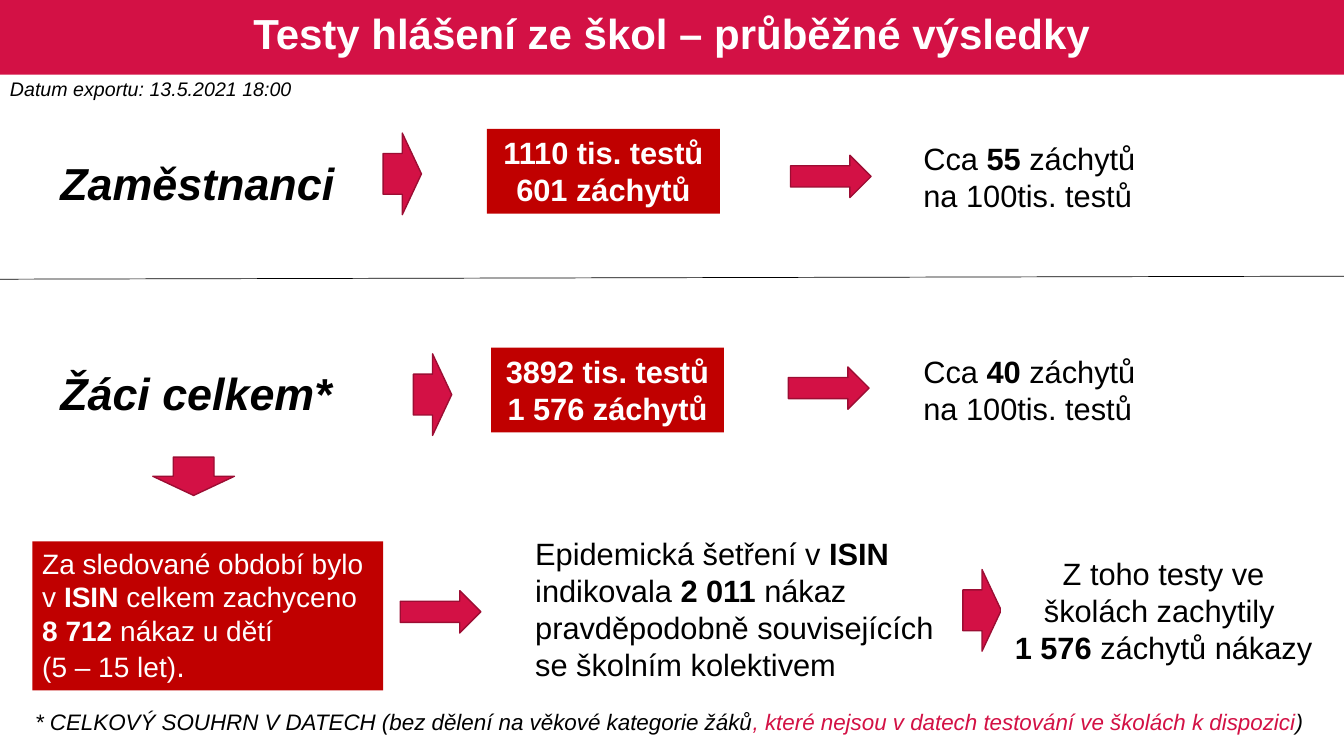
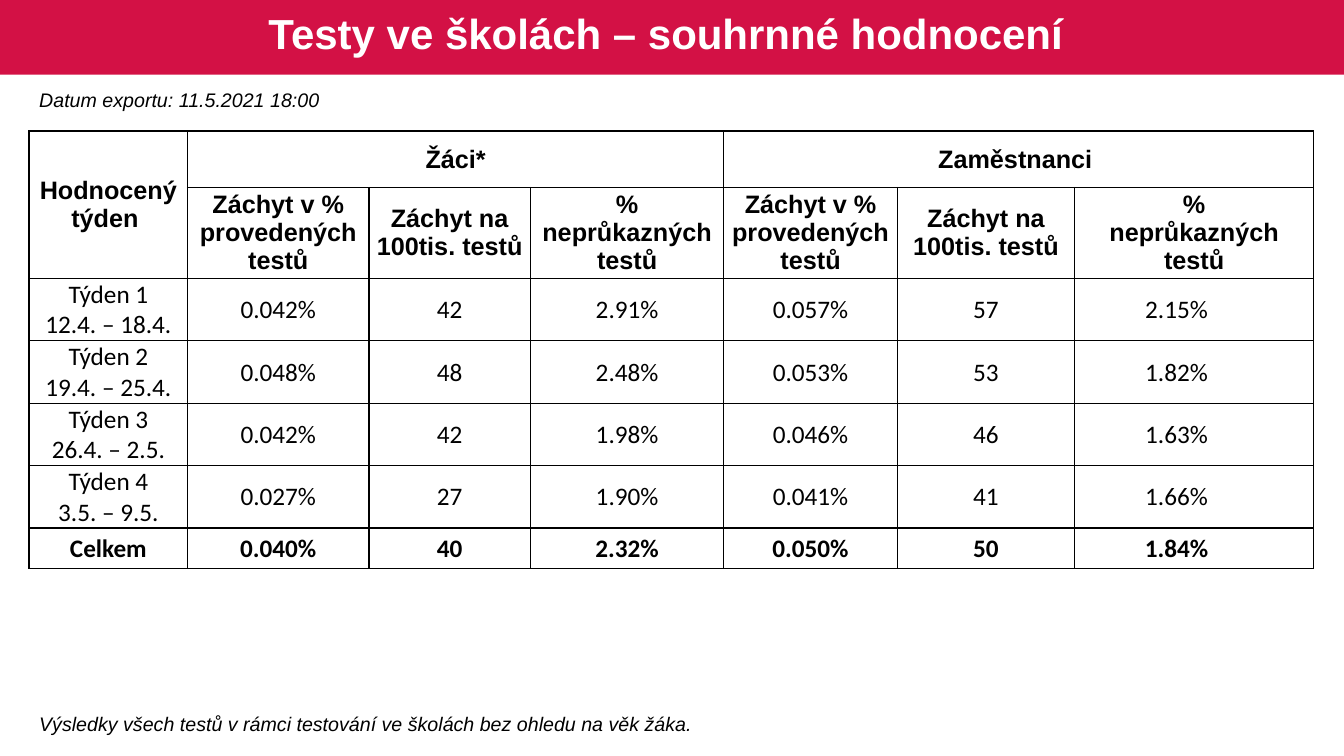
from lxml import etree
from pptx import Presentation
from pptx.dml.color import RGBColor
from pptx.enum.shapes import MSO_CONNECTOR, MSO_SHAPE
from pptx.enum.text import MSO_ANCHOR, MSO_AUTO_SIZE, PP_ALIGN
from pptx.oxml.ns import qn
from pptx.util import Inches, Pt

RECTANGLE, RIGHT_ARROW = MSO_SHAPE.RECTANGLE, MSO_SHAPE.RIGHT_ARROW
STRAIGHT = MSO_CONNECTOR.STRAIGHT
MIDDLE = MSO_ANCHOR.MIDDLE
NO_FIT, GROW = MSO_AUTO_SIZE.NONE, MSO_AUTO_SIZE.SHAPE_TO_FIT_TEXT
LEFT, CENTER = PP_ALIGN.LEFT, PP_ALIGN.CENTER
TITLE_ONLY = 5

COLORS = {
    "brand": "D31145",
    "brand_dark": "9C0D33",
    "red": "C00000",
    "black": "000000",
    "white": "FFFFFF",
}
WIDTH, HEIGHT = 13.33, 7.5


def color(name):
    return RGBColor.from_string(COLORS[name])


def bold(text):
    return text, {"bold": True}


class Deck:
    """Shared style and the slide being built."""

    def __init__(self):
        self.presentation = Presentation()
        self.presentation.slide_width = Inches(WIDTH)
        self.presentation.slide_height = Inches(HEIGHT)
        self.slide = None

    def add_slide(self, title):
        layout = self.presentation.slide_layouts[TITLE_ONLY]
        self.slide = self.presentation.slides.add_slide(layout)
        # Title band, placed behind the title
        band = self.shape(RECTANGLE, 0, 0, WIDTH, 0.74, "brand")
        self.slide.shapes._spTree.insert(2, band._element)
        # Title
        placeholder = self.slide.shapes.title
        self.place(placeholder, 0.18, 0.04, 12.97, 0.63)
        frame = placeholder.text_frame
        frame.text = title
        frame.auto_size = NO_FIT
        frame.vertical_anchor = MIDDLE
        paragraph = frame.paragraphs[0]
        paragraph.alignment = CENTER
        paragraph.line_spacing = 0.9
        self.style_run(paragraph.runs[0], size=30, ink="white", bold=True)

    @staticmethod
    def place(shape, left, top, width, height):
        shape.left, shape.top = Inches(left), Inches(top)
        shape.width, shape.height = Inches(width), Inches(height)

    @staticmethod
    def style_run(run, size=22, ink="black", bold=False, italic=False, font="Arial"):
        run.font.name = font
        run.font.size = Pt(size)
        run.font.bold = bold
        run.font.italic = italic
        run.font.color.rgb = color(ink)

    def shape(self, kind, left, top, width, height, fill, line=None):
        shape = self.slide.shapes.add_shape(
            kind, Inches(left), Inches(top), Inches(width), Inches(height))
        shape.shadow.inherit = False
        shape.fill.solid()
        shape.fill.fore_color.rgb = color(fill)
        if line:
            shape.line.color.rgb = color(line)
            shape.line.width = Pt(1)
        else:
            shape.line.fill.background()
        return shape

    def arrow(self, left, top, width, height, rotation=0):
        shape = self.shape(RIGHT_ARROW, left, top, width, height, "brand", "brand_dark")
        shape.rotation = rotation

    def long_arrow(self, left, top):
        self.arrow(left, top, 0.8, 0.42)

    def short_arrow(self, left, top, rotation=0):
        self.arrow(left, top, 0.38, 0.81, rotation)

    def text(self, left, top, width, height, paragraphs, fill=None,
             align=LEFT, wrap=True, **style):
        """Each paragraph is a list of strings, (string, style) pairs and breaks."""
        box = self.slide.shapes.add_textbox(
            Inches(left), Inches(top), Inches(width), Inches(height))
        if fill:
            box.fill.solid()
            box.fill.fore_color.rgb = color(fill)
        frame = box.text_frame
        frame.word_wrap = wrap
        frame.auto_size = GROW
        for index, pieces in enumerate(paragraphs):
            paragraph = frame.add_paragraph() if index else frame.paragraphs[0]
            paragraph.alignment = align
            for piece in pieces:
                if piece == "\n":
                    paragraph.add_line_break()
                    continue
                content, changes = (piece, {}) if isinstance(piece, str) else piece
                run = paragraph.add_run()
                run.text = content
                self.style_run(run, **{**style, **changes})

    def note(self, left, top, width, content, wrap=True):
        self.text(left, top, width, 0.34, [[content]], wrap=wrap, size=14, italic=True)

    def line(self, left, top, right, bottom):
        connector = self.slide.shapes.add_connector(
            STRAIGHT, Inches(left), Inches(top), Inches(right), Inches(bottom))
        connector.line.color.rgb = color("black")
        connector.line.width = Pt(0.5)
        etree.SubElement(connector._element.spPr, qn("a:effectLst"))

    @staticmethod
    def borders(cell, widths):
        """Set the borders in points; a width of 0 draws none."""
        properties = cell._tc.get_or_add_tcPr()
        for side in "LRTB":
            width = widths.get(side, 1)
            line = etree.SubElement(properties, qn(f"a:ln{side}"), w=str(Pt(width)))
            if width:
                fill = etree.SubElement(line, qn("a:solidFill"))
                etree.SubElement(fill, qn("a:srgbClr"), val=COLORS["black"])
            else:
                etree.SubElement(line, qn("a:noFill"))

    def table(self, left, top, columns, heights, rows, merges, header_rows, open_edge):
        """Body cells have no border between columns open_edge and open_edge + 1."""
        table = self.slide.shapes.add_table(
            len(heights), len(columns), Inches(left), Inches(top),
            Inches(sum(columns)), Inches(sum(heights))).table
        table.first_row = table.horz_banding = False
        for column, width in zip(table.columns, columns):
            column.width = Inches(width)
        for row, height in zip(table.rows, heights):
            row.height = Inches(height)
        for first_row, first_column, last_row, last_column in merges:
            table.cell(first_row, first_column).merge(table.cell(last_row, last_column))
        for row_index, values in enumerate(rows):
            header = row_index < header_rows
            strong = header or row_index == len(rows) - 1
            for column_index, value in enumerate(values):
                cell = table.cell(row_index, column_index)
                widths = {}
                if row_index == 0:
                    widths["T"] = 1.5
                if column_index == 0:
                    widths["L"] = 1.5
                if not header and column_index == open_edge:
                    widths["R"] = 0
                if not header and column_index == open_edge + 1:
                    widths["L"] = 0
                self.borders(cell, widths)
                cell.fill.solid()
                cell.fill.fore_color.rgb = color("white")
                cell.vertical_anchor = MIDDLE
                cell.margin_left = cell.margin_right = Inches(0.05 if header else 0.01)
                cell.margin_top = Inches(0 if header else 0.01)
                cell.margin_bottom = 0
                if not value:
                    continue
                cell.text = value
                for paragraph in cell.text_frame.paragraphs:
                    paragraph.alignment = CENTER
                    self.style_run(paragraph.runs[0], size=18, bold=strong,
                                   font="Arial" if header else "Calibri")


def build_results(deck):
    deck.add_slide("Testy hlášení ze škol – průběžné výsledky")
    deck.note(0, 0.71, 3.01, "Datum exportu: 13.5.2021 18:00", wrap=False)

    # Group rows: label, tests and positives, rate; with their positions
    groups = [
        ("Zaměstnanci", 1.5, (3.8, 1.32), "1110 tis. testů", "601 záchytů",
         (4.83, 1.28), (7.84, 1.54), "55", 1.34),
        ("Žáci celkem*", 3.58, (4.1, 3.51), "3892 tis. testů", "1 576 záchytů",
         (4.87, 3.45), (7.82, 3.64), "40", 3.45),
    ]
    for (label, label_top, short_at, tests, positives,
         box_at, long_at, rate, rate_top) in groups:
        deck.text(0.5, label_top, 3.03, 0.64, [[label]], size=32, bold=True, italic=True)
        deck.short_arrow(*short_at)
        deck.text(*box_at, 2.31, 0.84, [[tests], [positives]], fill="red",
                  align=CENTER, ink="white", bold=True)
        deck.long_arrow(*long_at)
        deck.text(9.06, rate_top, 2.71, 0.84,
                  [["Cca ", bold(rate), " záchytů na 100tis. testů"]], fill="white")
    deck.line(0, 2.77, WIDTH, 2.74)

    # Breakdown of the pupils' cases
    deck.short_arrow(1.73, 4.32, rotation=90)
    deck.text(0.32, 5.37, 3.48, 1.48, [
        ["Za sledované období bylo v ", bold("ISIN"), " celkem zachyceno", "\n",
         bold("8 712 "), "nákaz u dětí"],
        ["(5 – 15 let)", (".", {"size": 22})],
    ], fill="red", size=20, ink="white")
    deck.long_arrow(3.97, 5.86)
    deck.text(5.21, 5.26, 4.18, 1.58, [
        ["Epidemická šetření v ", bold("ISIN"), " indikovala ", bold("2 011 "),
         "nákaz pravděpodobně souvisejících se školním kolektivem"],
    ], fill="white")
    deck.short_arrow(9.55, 5.65)
    deck.text(9.93, 5.45, 3.22, 1.21, [
        ["Z toho testy ve školách zachytily "],
        [bold("1 576 "), "záchytů nákazy"],
    ], fill="white", align=CENTER)

    # Footnote
    deck.text(0.25, 6.98, 13.23, 0.37, [[
        "* CELKOVÝ SOUHRN V DATECH (bez dělení na věkové kategorie žáků",
        (", které nejsou v datech testování ve školách k dispozici", {"ink": "brand"}),
        ")",
    ]], size=16, italic=True)


def build_summary(deck):
    deck.add_slide("Testy ve školách – souhrnné hodnocení ")
    deck.note(0.29, 0.82, 3.01, "Datum exportu: 11.5.2021 18:00", wrap=False)

    # Weekly table
    share, rate = "Záchyt v % provedených testů", "Záchyt na 100tis. testů"
    rows = [
        ["Hodnocený týden ", "Žáci*", "", "", "Zaměstnanci ", "", "", ""],
        ["", share, rate, "% neprůkazných testů",
         share, rate, "%\nneprůkazných testů", ""],
        ["Týden 1\n12.4. – 18.4.", "0.042%", "42", "2.91%", "0.057%", "57", "2.15%", ""],
        ["Týden 2\n19.4. – 25.4.", "0.048%", "48", "2.48%", "0.053%", "53", "1.82%", ""],
        ["Týden 3\n26.4. – 2.5.", "0.042%", "42", "1.98%", "0.046%", "46", "1.63%", ""],
        ["Týden 4\n3.5. – 9.5.", "0.027%", "27", "1.90%", "0.041%", "41", "1.66%", ""],
        ["Celkem", "0.040%", "40", "2.32%", "0.050%", "50", "1.84%", ""],
    ]
    deck.table(
        0.29, 1.3,
        columns=[1.57, 1.8, 1.6, 1.92, 1.72, 1.76, 2.02, 0.35],
        heights=[0.56, 0.9] + [0.62] * 4 + [0.4],
        rows=rows,
        merges=[(0, 0, 1, 0), (0, 1, 0, 3), (0, 4, 0, 7), (1, 6, 1, 7)],
        header_rows=2, open_edge=6)

    deck.note(0.29, 7.01, 12.67,
              "Výsledky všech testů v rámci testování ve školách bez ohledu na věk žáka.")


def main():
    deck = Deck()
    build_results(deck)
    build_summary(deck)
    deck.presentation.save("out.pptx")


if __name__ == "__main__":
    main()
